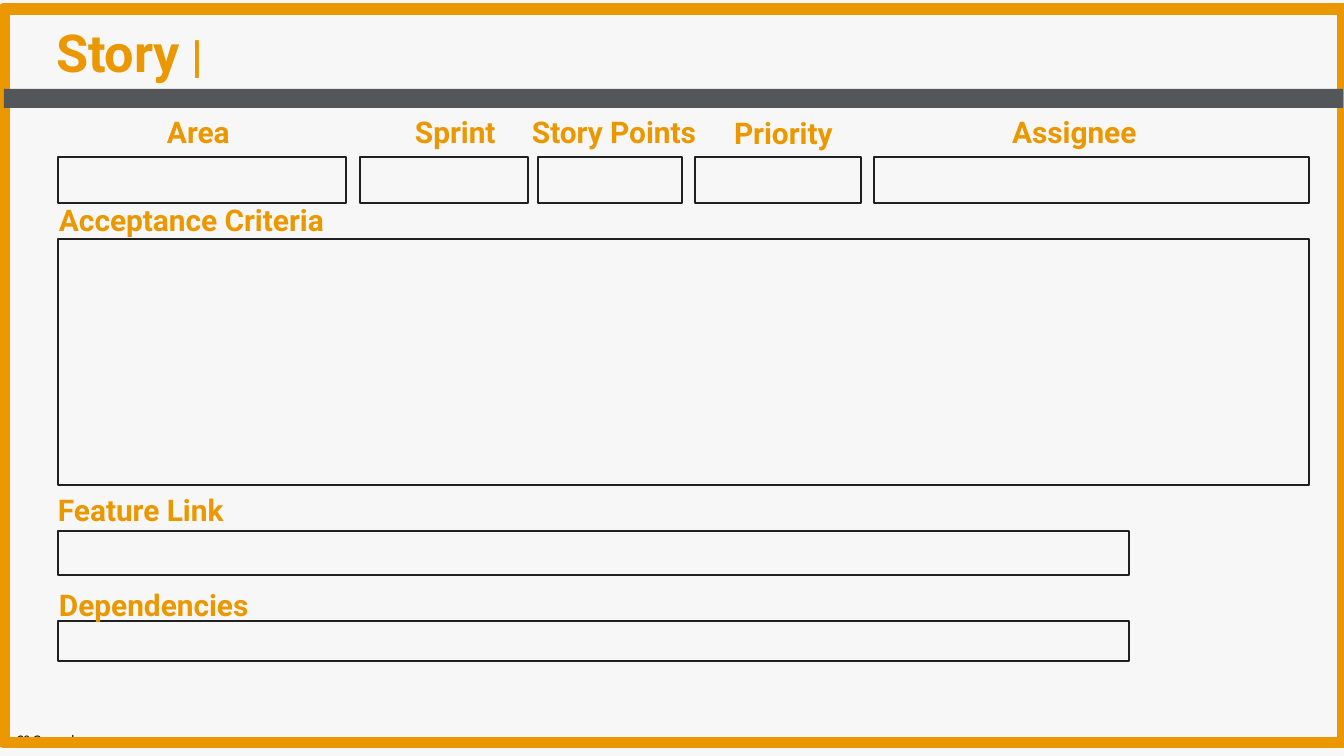
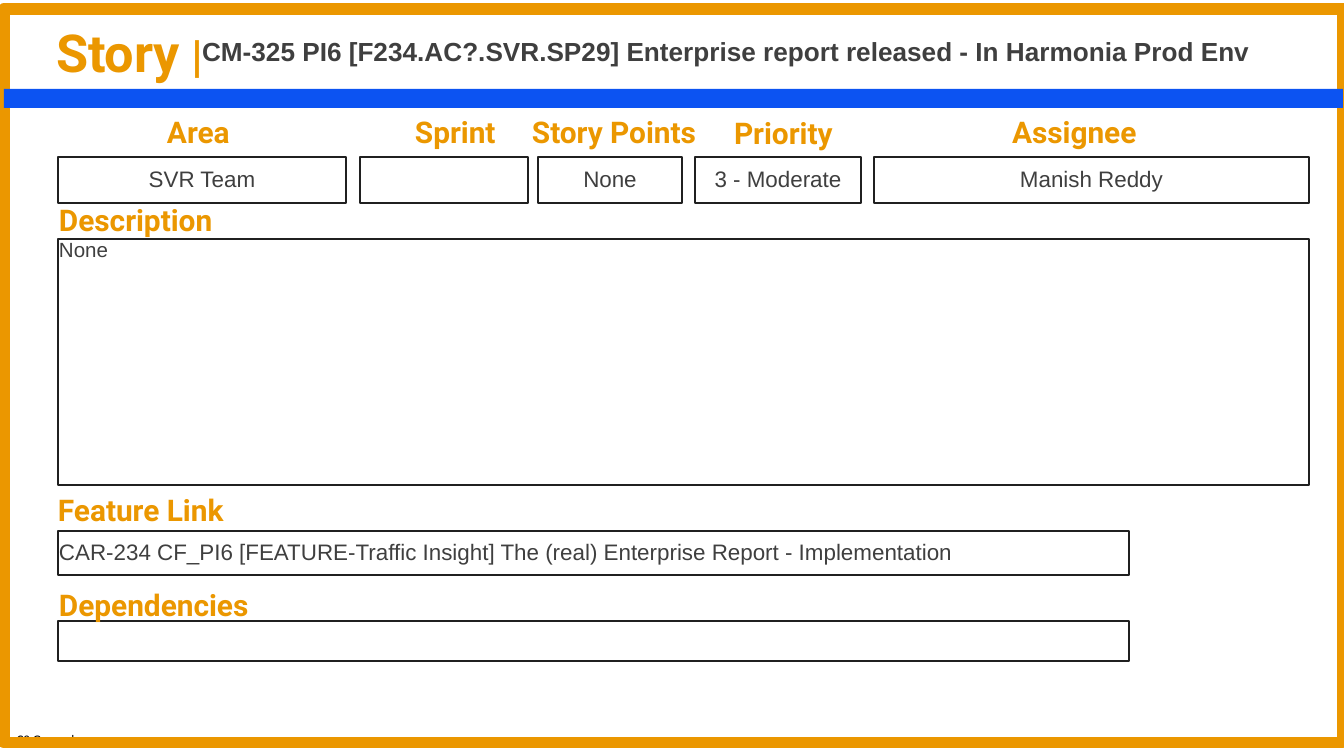
"""Build two agile story cards: a blank template and a completed card."""
from pptx import Presentation
from pptx.dml.color import RGBColor
from pptx.enum.shapes import MSO_SHAPE as Shape
from pptx.enum.text import MSO_ANCHOR as Anchor, MSO_AUTO_SIZE as AutoSize, PP_ALIGN as Align
from pptx.util import Emu, Pt

SCALE = 914400 / 134.4
ORANGE = RGBColor(0xEB, 0x97, 0x00)
INK = RGBColor(0x20, 0x20, 0x20)
TEXT_GREY = RGBColor(0x3F, 0x3F, 0x3F)
BLACK = RGBColor(0x00, 0x00, 0x00)
SLATE = RGBColor(0x54, 0x57, 0x5A)
BLUE = RGBColor(0x0C, 0x53, 0xF2)
PALE_GREY = RGBColor(0xF7, 0xF7, 0xF7)
WHITE = RGBColor(0xFF, 0xFF, 0xFF)

FRAME = (4, 9, 1339, 734)
BAR = (4, 89, 1339, 19)
FIELDS = [
    ("Area", (167, 114), (58, 157, 288, 46)),
    ("Sprint", (415, 114), (360, 157, 168, 46)),
    ("Story Points", (532, 114), (538, 157, 144, 46)),
    ("Priority", (734, 115), (695, 157, 166, 46)),
    ("Assignee", (1012, 114), (874, 157, 435, 46)),
    ("Details", (59, 202), (58, 239, 1251, 246)),
    ("Feature Link", (58, 492), (58, 531, 1071, 44)),
    ("Dependencies", (59, 587), (58, 621, 1071, 40)),
]
CENTRED = ("Area", "Sprint", "Story Points", "Priority", "Assignee")
CARDS = [
    {"background": PALE_GREY, "bar": SLATE, "details": "Acceptance Criteria",
     "headline": "", "values": {}},
    {"background": WHITE, "bar": BLUE, "details": "Description",
     "headline": "CM-325 PI6 [F234.AC?.SVR.SP29] Enterprise report released - In Harmonia Prod Env",
     "values": {
         "Area": "SVR Team",
         "Story Points": "None",
         "Priority": "3 - Moderate",
         "Assignee": "Manish Reddy",
         "Details": "None",
         "Feature Link": "CAR-234 CF_PI6 [FEATURE-Traffic Insight] The (real) Enterprise Report - Implementation",
     }},
]


def px(*lengths):
    """Turn pixel lengths into EMU."""
    return [Emu(round(length * SCALE)) for length in lengths]


def write(box, text, size=16, font="Roboto", color=ORANGE, bold=True, align=Align.LEFT,
          anchor=Anchor.TOP, inset=0, spacing=1.0):
    """Add a formatted span to the first paragraph of a box."""
    frame = box.text_frame
    frame.word_wrap = True
    frame.auto_size = AutoSize.NONE
    frame.vertical_anchor = anchor
    side, end = inset if isinstance(inset, tuple) else (inset, inset)
    frame.margin_left, frame.margin_right = px(side, side)
    frame.margin_top, frame.margin_bottom = px(end, end)
    para = frame.paragraphs[0]
    para.alignment = align
    para.line_spacing = spacing
    span = para.add_run()
    span.text = text
    span.font.size = Pt(size)
    span.font.name = font
    span.font.bold = bold
    span.font.color.rgb = color


deck = Presentation()
deck.slide_width, deck.slide_height = px(1344, 756)

for card in CARDS:
    page = deck.slides.add_slide(deck.slide_layouts[5])
    page.background.fill.solid()
    page.background.fill.fore_color.rgb = card["background"]

    title = page.shapes.title
    title.left, title.top, title.width, title.height = px(43, 26, 241, 39)
    for text, size in (("Story", 28), (" |", 24)):
        write(title, text, size=size, inset=(13, 6), spacing=0.8)

    footer = page.shapes.add_textbox(*px(0, 724, 91, 31))
    write(footer, "C2 General", size=7, font="Calibri", color=BLACK, bold=False,
          align=Align.CENTER, anchor=Anchor.MIDDLE)

    if card["headline"]:
        headline = page.shapes.add_textbox(*px(202, 19, 1129, 70))
        write(headline, card["headline"], size=14, font="Arial", color=TEXT_GREY,
              anchor=Anchor.MIDDLE, spacing=0.8)

    for name, label_place, box_place in FIELDS:
        is_details = name == "Details"
        box = page.shapes.add_shape(Shape.RECTANGLE, *px(*box_place))
        box.shadow.inherit = False
        box.fill.background()
        box.line.color.rgb = INK
        box.line.width = Pt(0.75)
        if name in card["values"]:
            write(box, card["values"][name], size=11 if is_details else 12, font="Arial",
                  color=TEXT_GREY, bold=False, inset=1, spacing=0.9,
                  align=Align.CENTER if name in CENTRED else Align.LEFT,
                  anchor=Anchor.TOP if is_details else Anchor.MIDDLE)
        label = page.shapes.add_textbox(*px(*label_place, 587 if is_details else 212, 22))
        write(label, card["details"] if is_details else name)

    border = page.shapes.add_shape(Shape.RECTANGLE, *px(*FRAME))
    border.shadow.inherit = False
    border.fill.background()
    border.line.color.rgb = ORANGE
    border.line.width = Pt(6)

    bar = page.shapes.add_shape(Shape.RECTANGLE, *px(*BAR))
    bar.shadow.inherit = False
    bar.fill.solid()
    bar.fill.fore_color.rgb = card["bar"]
    bar.line.fill.background()

deck.save("out.pptx")
